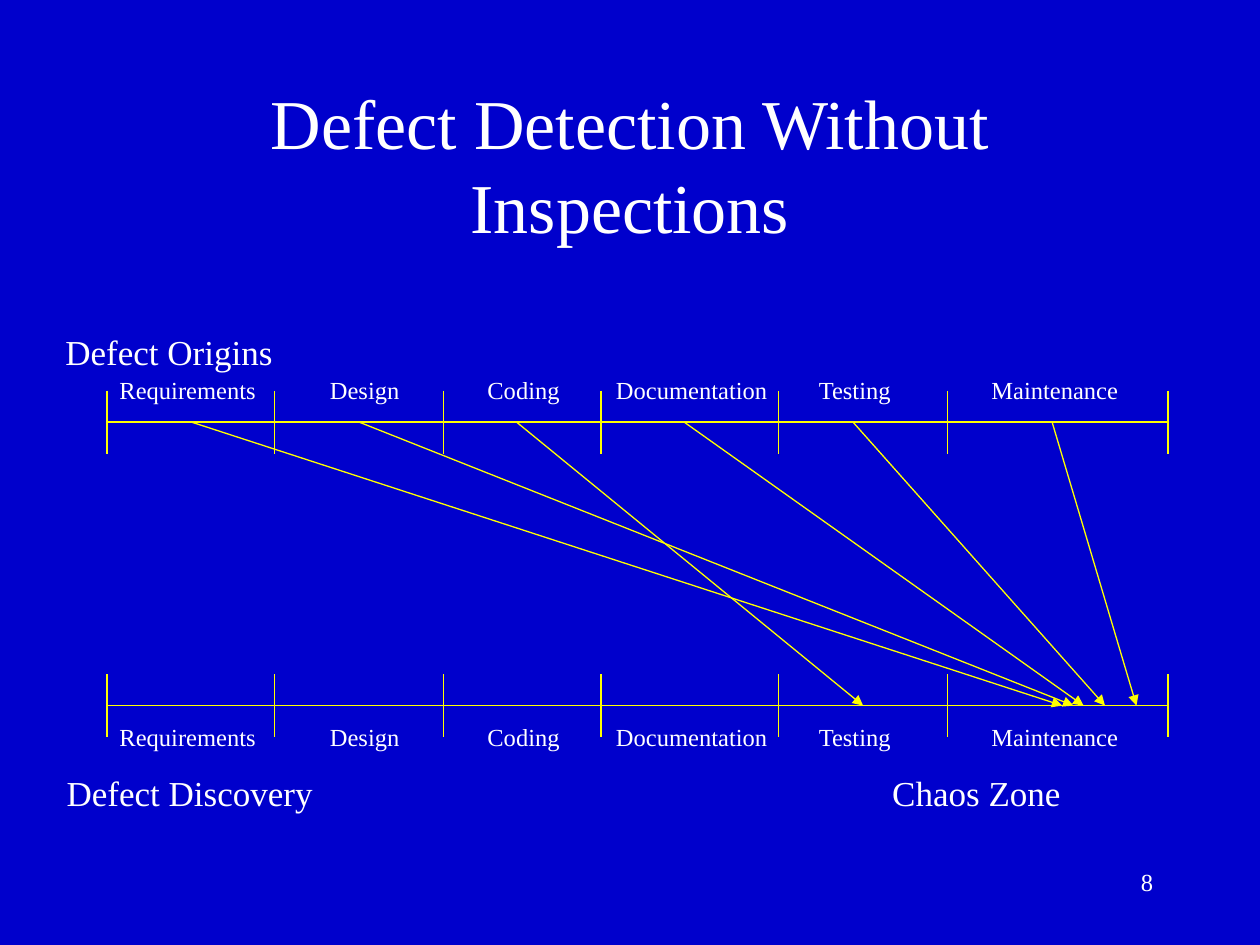
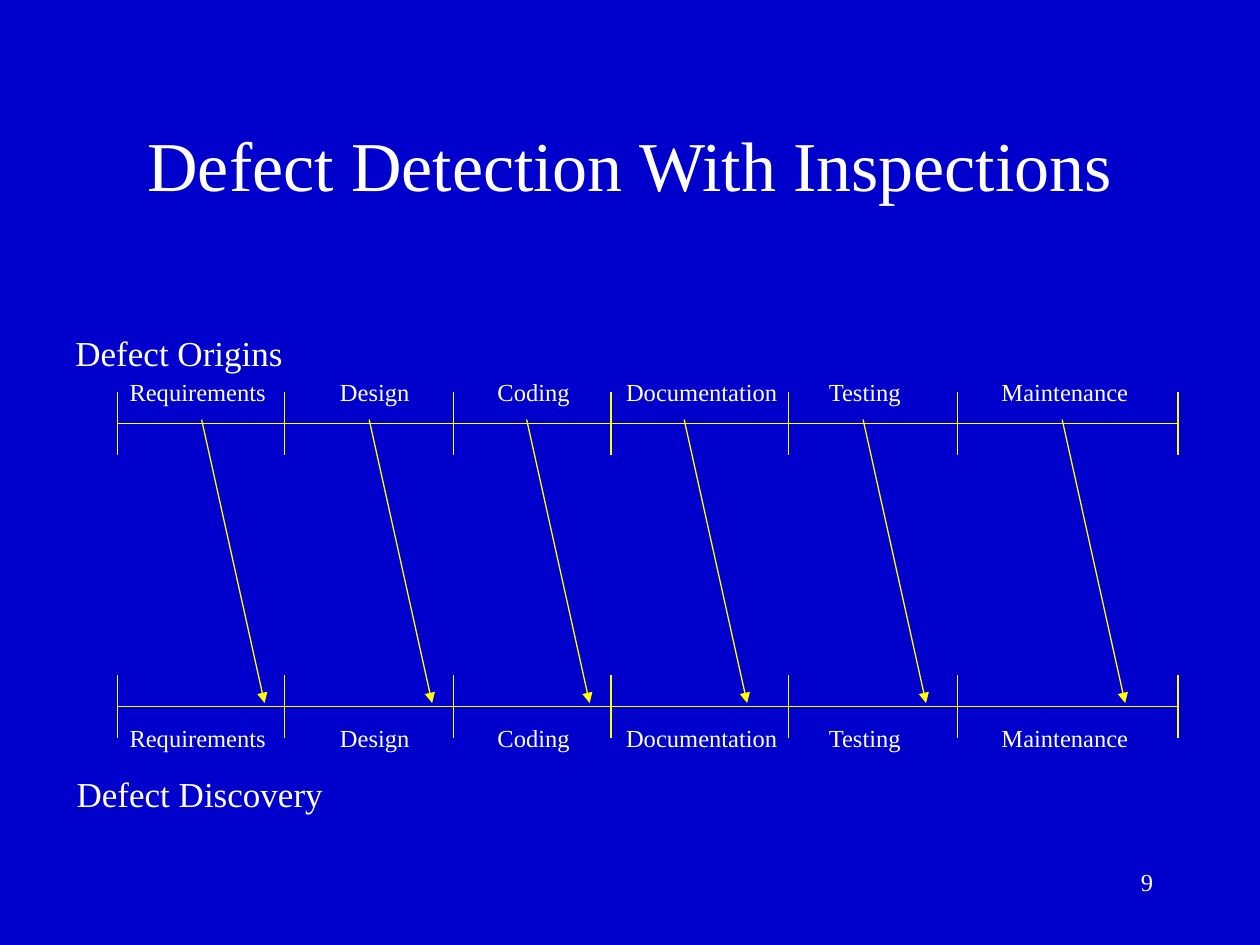
from lxml import etree
from pptx import Presentation
from pptx.dml.color import RGBColor
from pptx.enum.shapes import MSO_CONNECTOR
from pptx.enum.text import MSO_ANCHOR, MSO_AUTO_SIZE, PP_ALIGN
from pptx.oxml.ns import qn
from pptx.util import Inches, Pt

STRAIGHT = MSO_CONNECTOR.STRAIGHT
MIDDLE = MSO_ANCHOR.MIDDLE
FIT_SHAPE, NO_FIT = MSO_AUTO_SIZE.SHAPE_TO_FIT_TEXT, MSO_AUTO_SIZE.NONE
LEFT, CENTER, RIGHT = PP_ALIGN.LEFT, PP_ALIGN.CENTER, PP_ALIGN.RIGHT

COLORS = {"background": "0000CC", "text": "FFFFFF", "line": "FFFF00"}
FONT = "Times New Roman"
TITLE_ONLY_LAYOUT = 5

# Diagram geometry in inches, measured from the left end of the upper axis
AXIS_GAP = 2.25
TICK_REACH = 0.25
TICKS = [0, 1.33, 2.67, 3.92, 5.33, 6.67, 8.42]
# Phase name, label offset, label width
PHASES = [
    ("Requirements", 0, 1.3),
    ("Design", 1.67, 0.77),
    ("Coding", 2.92, 0.8),
    ("Documentation", 3.94, 1.42),
    ("Testing", 5.55, 0.8),
    ("Maintenance", 6.92, 1.23),
]


def color(name):
    return RGBColor.from_string(COLORS[name])


def write(paragraph, text, size, alignment):
    paragraph.alignment = alignment
    run = paragraph.add_run()
    run.text = text
    run.font.name = FONT
    run.font.size = Pt(size)
    run.font.color.rgb = color("text")


def add_text(slide, text, box, size, alignment=LEFT, wrap=False):
    shape = slide.shapes.add_textbox(*map(Inches, box))
    frame = shape.text_frame
    frame.word_wrap = wrap
    frame.auto_size = NO_FIT if wrap else FIT_SHAPE
    write(frame.paragraphs[0], text, size, alignment)


def add_line(slide, start, end, arrow=False):
    connector = slide.shapes.add_connector(STRAIGHT, *map(Inches, (*start, *end)))
    connector.line.color.rgb = color("line")
    connector.line.width = Pt(0.75)
    properties = connector._element.spPr
    if arrow:
        line = properties.find(qn("a:ln"))
        etree.SubElement(line, qn("a:tailEnd"), type="triangle")
    etree.SubElement(properties, qn("a:effectLst"))


def add_title(slide, text):
    title = slide.shapes.title
    title.left, title.top = Inches(0.75), Inches(0.67)
    title.width, title.height = Inches(8.5), Inches(1.25)
    frame = title.text_frame
    frame.word_wrap = True
    frame.auto_size = NO_FIT
    frame.vertical_anchor = MIDDLE
    write(frame.paragraphs[0], text, 40, CENTER)


def add_timeline(slide, left, axis, label_top):
    """One axis with its ticks and phase labels."""
    add_line(slide, (left, axis), (left + TICKS[-1], axis))
    for tick in TICKS:
        add_line(slide, (left + tick, axis - TICK_REACH), (left + tick, axis + TICK_REACH))
    for name, offset, width in PHASES:
        add_text(slide, name, (left + offset, label_top, width, 0.34), 14)


def add_defect_diagram(slide, left, top, arrows, arrow_shift):
    """Origin and discovery timelines, joined by defect arrows."""
    bottom = top + AXIS_GAP
    add_timeline(slide, left, top, top - 0.42)
    add_timeline(slide, left, bottom, bottom + 0.08)
    add_text(slide, "Defect Origins", (left - 0.43, top - 0.78, 1.88, 0.44), 20)
    add_text(slide, "Defect Discovery", (left - 0.42, bottom + 0.47, 2.19, 0.44), 20)
    for origin, discovery in arrows:
        add_line(slide, (left + origin, top + arrow_shift),
                 (left + discovery, bottom + arrow_shift), arrow=True)


def add_detection_slide(presentation, number, title, left, top, arrows, arrow_shift=0):
    slide = presentation.slides.add_slide(presentation.slide_layouts[TITLE_ONLY_LAYOUT])
    add_title(slide, title)
    add_defect_diagram(slide, left, top, arrows, arrow_shift)
    # Page number
    add_text(slide, str(number), (7.17, 6.83, 2.08, 0.5), 14, RIGHT, wrap=True)
    return slide


def main():
    presentation = Presentation()
    presentation.slide_width, presentation.slide_height = Inches(10), Inches(7.5)
    background = presentation.slide_master.background.fill
    background.solid()
    background.fore_color.rgb = color("background")

    # Without inspections most defects surface during maintenance
    late_arrows = [(0.67, 7.58), (2, 7.67), (3.25, 6), (4.58, 7.75), (5.92, 7.92), (7.5, 8.17)]
    slide = add_detection_slide(presentation, 8, "Defect Detection Without Inspections",
                                0.85, 3.35, late_arrows)
    add_text(slide, "Chaos Zone", (6.98, 6.07, 1.54, 0.44), 20, CENTER)

    # With inspections each defect surfaces in its own phase
    prompt_arrows = [(origin, origin + 0.5) for origin in (0.67, 2, 3.25, 4.5, 5.92, 7.5)]
    add_detection_slide(presentation, 9, "Defect Detection With Inspections",
                        0.93, 3.36, prompt_arrows, arrow_shift=-0.03)

    presentation.save("out.pptx")


if __name__ == "__main__":
    main()
